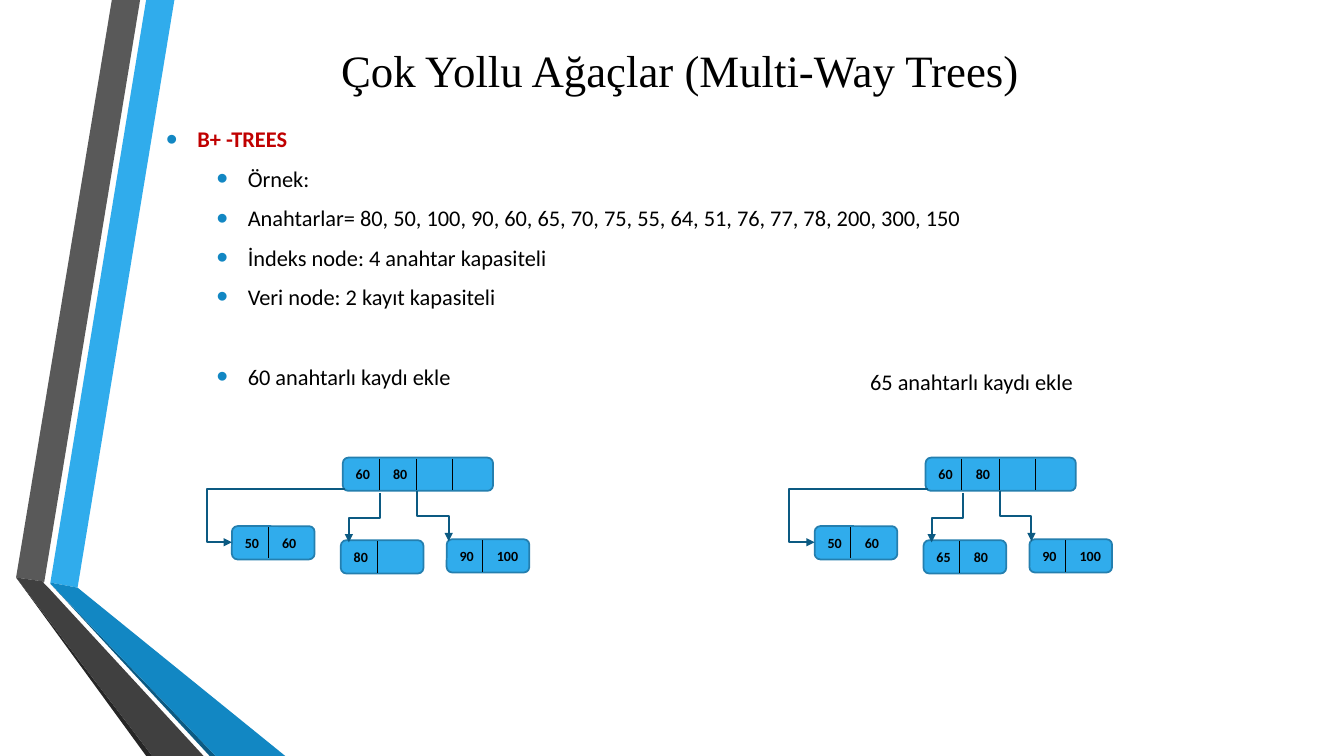
import pptx
import pptx.dml.color
import pptx.enum.shapes
import pptx.enum.text
import pptx.oxml
import pptx.oxml.ns
import pptx.util

PX = 9144  # EMU in one px, 100 px to the inch
THEME = {
    "blue": "30ACEC", "outline": "247FAF", "bullet": "1287C3", "arrow": "0C5A82",
    "black": "000000", "red": "C00000", "gray": "595959", "dark": "404040", "shade": "262626",
    "title_size": 32, "body_size": 16, "key_size": 10,
    "title_font": "Times New Roman", "body_font": "Calibri",
}
ALIGN = pptx.enum.text.PP_ALIGN
SHAPE = pptx.enum.shapes.MSO_SHAPE
CONNECTOR = pptx.enum.shapes.MSO_CONNECTOR
NAMESPACE = pptx.oxml.ns.nsdecls("a")


def write(para, text, size, color="black", font="body_font", bold=False):
    span = para.add_run()
    span.text = text
    formats = {"size": pptx.util.Pt(THEME[size]), "name": THEME[font], "bold": bold}
    for name, value in formats.items():
        setattr(span.font, name, value)
    span.font.color.rgb = pptx.dml.color.RGBColor.from_string(THEME[color])


def connect(group, kind, start, end, color, width):
    line = group.shapes.add_connector(kind, *(int(value * PX) for value in (*start, *end)))
    line.line.color.rgb = pptx.dml.color.RGBColor.from_string(THEME[color])
    line.line.width = pptx.util.Pt(width)
    properties = line._element.spPr
    properties.append(pptx.oxml.parse_xml(f"<a:effectLst {NAMESPACE}/>"))
    return line, properties


deck = pptx.Presentation()
deck.slide_width, deck.slide_height = 1333 * PX, 750 * PX
page = deck.slides.add_slide(deck.slide_layouts[6])

# Folded ribbons on the left
ribbons = [
    ("blue", [(50, 578), (77, 583), (173, 0), (145, 0)]),
    ("gray", [(139, 0), (111, 0), (16, 573), (44, 577)]),
    ("shade", [(16, 573), (145, 750), (151, 750)]),
    ("arrow", [(50, 579), (208, 750), (214, 750)]),
    ("bullet", [(50, 579), (214, 750), (283, 750), (77, 583), (50, 578)]),
    ("dark", [(202, 750), (48, 583), (43, 578), (44, 577), (16, 573), (151, 750)]),
]
for color, points in ribbons:
    outline = page.shapes.build_freeform(*points[0], scale=PX)
    outline.add_line_segments(points[1:], close=True)
    ribbon = outline.convert_to_shape()
    ribbon.shadow.inherit = False
    ribbon.fill.solid()
    ribbon.fill.fore_color.rgb = pptx.dml.color.RGBColor.from_string(THEME[color])
    ribbon.line.fill.background()

# Title
box = page.shapes.add_textbox(155 * PX, 17 * PX, 1039 * PX, 104 * PX)
box.text_frame.word_wrap = True
box.text_frame.vertical_anchor = pptx.enum.text.MSO_ANCHOR.MIDDLE
para = box.text_frame.paragraphs[0]
para.alignment = ALIGN.CENTER
write(para, "Çok Yollu Ağaçlar (Multi-Way Trees)", "title_size", font="title_font")

# Bulleted text: level, text, gap before in points
bullets = [
    (0, "B+ -TREES", 0),
    (1, "Örnek:", 0),
    (1, "Anahtarlar= 80, 50, 100, 90, 60, 65, 70, 75, 55, 64, 51, 76, 77, 78, 200, 300, 150", 0),
    (1, "İndeks node: 4 anahtar kapasiteli", 0),
    (1, "Veri node: 2 kayıt kapasiteli", 0),
    (1, "60 anahtarlı kaydı ekle", 28.75),
]
box = page.shapes.add_textbox(155 * PX, 107 * PX, 1087 * PX, 323 * PX)
box.text_frame.word_wrap = True
for index, (level, text, gap) in enumerate(bullets):
    para = box.text_frame.add_paragraph() if index else box.text_frame.paragraphs[0]
    formats = {"alignment": ALIGN.JUSTIFY, "level": level, "line_spacing": 1.47,
               "space_before": pptx.util.Pt(gap)}
    for name, value in formats.items():
        setattr(para, name, value)
    properties = para._p.get_or_add_pPr()
    properties.set("marL", str((31 + 50 * level) * PX))
    properties.set("indent", str(-31 * PX))
    for mark in (f'<a:buClr {NAMESPACE}><a:srgbClr val="{THEME["bullet"]}"/></a:buClr>',
                 f'<a:buSzPct {NAMESPACE} val="145000"/>',
                 f'<a:buFont {NAMESPACE} typeface="Arial"/>',
                 f'<a:buChar {NAMESPACE} char="•"/>'):
        properties.append(pptx.oxml.parse_xml(mark))
    write(para, text, "body_size", "black" if level else "red", bold=level == 0)

# Heading of the second tree
box = page.shapes.add_textbox(863 * PX, 365 * PX, 260 * PX, 28 * PX)
for side in ("margin_left", "margin_top", "margin_right", "margin_bottom"):
    setattr(box.text_frame, side, 0)
box.text_frame.word_wrap = True
write(box.text_frame.paragraphs[0], "65 anahtarlı kaydı ekle", "body_size")

# Trees: left shift and the keys of the middle data node
for shift, middle_keys in ((0, ["80"]), (578, ["65", "80"])):
    tree = page.shapes.add_group_shape()
    nodes = [
        (340, 454, 149, 4, ["60", "80"]),
        (230, 522, 82, 2, ["50", "60"]),
        (338, 536, 82, 2, middle_keys),
        (443, 535, 82, 2, ["90", "100"]),
    ]
    for left, top, width, slots, keys in nodes:
        left += shift
        node = tree.shapes.add_shape(SHAPE.ROUNDED_RECTANGLE, left * PX, top * PX,
                                     width * PX, 33 * PX)
        node.shadow.inherit = False
        node.fill.solid()
        node.fill.fore_color.rgb = pptx.dml.color.RGBColor.from_string(THEME["blue"])
        node.line.color.rgb = pptx.dml.color.RGBColor.from_string(THEME["outline"])
        node.line.width = pptx.util.Pt(1.25)
        for slot in range(1, slots):
            x = left + round(36.4 * slot)
            connect(tree, CONNECTOR.STRAIGHT, (x, top + 1), (x, top + 32), "black", 0.75)
        for slot, key in enumerate(keys):
            label = tree.shapes.add_textbox((left + 3 + 37 * slot) * PX, (top + 3) * PX,
                                            (42 if len(key) > 2 else 36) * PX, 27 * PX)
            label.text_frame.word_wrap = True
            write(label.text_frame.paragraphs[0], key, "key_size", bold=True)

    # Elbow arrows: start, end, bend position, whether they leave downwards
    arrows = [
        ((342, 485), (230, 538), 122400, False),
        ((377, 489), (346, 538), 50000, True),
        ((414, 487), (445, 537), 50000, True),
    ]
    for (x1, y1), (x2, y2), bend, downward in arrows:
        start, end = (x1 + shift, y1), (x2 + shift, y2)
        if downward:  # the same elbow before a quarter turn about its centre
            center_x, center_y = (start[0] + end[0]) / 2, (y1 + y2) / 2
            half_x, half_y = (x2 - x1) / 2, (y2 - y1) / 2
            start = (center_x - half_y, center_y + half_x)
            end = (center_x + half_y, center_y - half_x)
        arrow, properties = connect(tree, CONNECTOR.ELBOW, start, end, "arrow", 1.5)
        if downward:
            properties.find(pptx.oxml.ns.qn("a:xfrm")).set("rot", "5400000")
        guides = properties.find(".//" + pptx.oxml.ns.qn("a:avLst"))
        guides.append(pptx.oxml.parse_xml(f'<a:gd {NAMESPACE} name="adj1" fmla="val {bend}"/>'))
        arrow.line._get_or_add_ln().append(
            pptx.oxml.parse_xml(f'<a:tailEnd {NAMESPACE} type="triangle"/>'))

deck.save("out.pptx")
